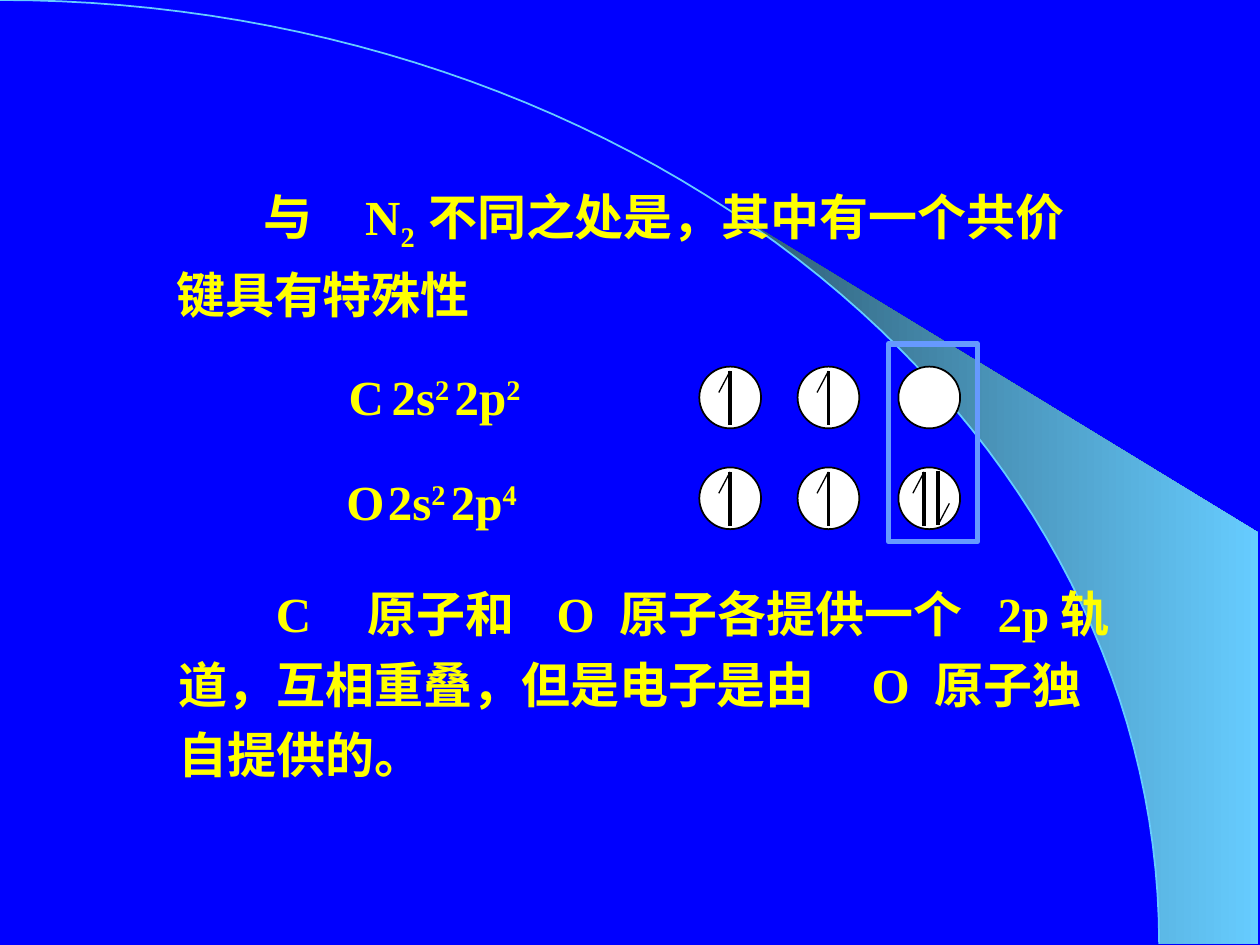
"""Build a slide on the special covalent bond formed by C and O orbitals."""
from math import asin, cos, pi, sin

from lxml import etree
from pptx import Presentation
from pptx.dml.color import RGBColor
from pptx.enum.shapes import MSO_CONNECTOR, MSO_SHAPE
from pptx.enum.text import MSO_ANCHOR, PP_ALIGN
from pptx.oxml.ns import qn
from pptx.util import Inches, Pt

LINE, OVAL, RECT = MSO_CONNECTOR.STRAIGHT, MSO_SHAPE.OVAL, MSO_SHAPE.RECTANGLE
TOP, MIDDLE = MSO_ANCHOR.TOP, MSO_ANCHOR.MIDDLE
LEFT, JUSTIFY = PP_ALIGN.LEFT, PP_ALIGN.JUSTIFY

COLORS = {"background": "0000FF", "text": "FFFF00", "sky": "66CCFF", "shade": "2F5E76",
          "frame": "6699FF", "orbital": "FFFFFF", "ink": "000000"}
FONT = {"name": "Times New Roman", "size": Pt(28), "bold": True}
SUB, NORMAL, SUPER = -25000, 0, 30000

BODY = {"anchor": MIDDLE, "inset": 0.05, "align": JUSTIFY, "spacing": 1.2}
LABEL = {"anchor": TOP, "inset": 0.15, "align": LEFT, "spacing": 1.0}

# paragraphs: (first-line indent, tab stops, runs)
TEXTS = [
    ((1.3, 1.32, 7.88, 1.3), BODY, [
        (0.69, [1.36, 1.95], [("与\tN", NORMAL), ("2", SUB),
                              ("\t不同之处是，其中有一个共价", NORMAL)]),
        (0, [], [("键具有特殊性", NORMAL)]),
    ]),
    ((2.01, 2.76, 3.54, 1.17), LABEL, [
        (0.66, [1.23, 1.86], [("C\t2s", NORMAL), ("2", SUPER), ("\t2p", NORMAL), ("2", SUPER)]),
    ]),
    ((2.48, 3.59, 3.3, 0.64), LABEL, [
        (0.17, [0.72, 1.35], [("O\t2s", NORMAL), ("2", SUPER), ("\t2p", NORMAL), ("4", SUPER)]),
    ]),
    ((1.32, 4.49, 8.01, 1.78), BODY, [
        (0.77, [1.33, 2.74, 3.31, 6.31, 7.0],
         [("C\t原子和\tO\t原子各提供一个\t2p\t轨", NORMAL)]),
        (0, [5.36, 5.92], [("道，互相重叠，但是电子是由\tO\t原子独", NORMAL)]),
        (0, [], [("自提供的。", NORMAL)]),
    ]),
]

ORBITAL_SIZE = 0.49
ORBITAL_LEFTS = [5.55, 6.33, 7.13]
ORBITAL_ROWS = [(2.91, ["up", "up", ""]), (3.71, ["up", "up", "pair"])]
SPINS = {"": [], "up": [(0, 1)], "pair": [(-0.04, 1), (0.07, -1)]}
SHARED_FRAME = (7.05, 2.73, 0.71, 1.57)
ARC_WIDTH, ARC_HEIGHT = 9.2, 7.49
BAND_TIP = (5.89, 1.73)
BAND_OUTER = [(9.99, 4.23), (9.99, 7.49)]


def color(name):
    return RGBColor.from_string(COLORS[name])


def paint_line(part, name, width):
    part.line.color.rgb = color(name)
    part.line.width = Pt(width)


def arc_points(start, steps=60):
    angles = [start + (pi / 2 - start) * step / steps for step in range(steps + 1)]
    return [(ARC_WIDTH * sin(angle), ARC_HEIGHT * (1 - cos(angle))) for angle in angles]


def add_outline(slide, points, close):
    start, *rest = [(Inches(x), Inches(y)) for x, y in points]
    builder = slide.shapes.build_freeform(*start)
    builder.add_line_segments(rest, close=close)
    outline = builder.convert_to_shape()
    outline.shadow.inherit = False
    return outline


def add_backdrop(slide):
    inner_edge = arc_points(asin(BAND_TIP[0] / ARC_WIDTH))
    band = add_outline(slide, [BAND_TIP, *BAND_OUTER, *reversed(inner_edge)], True)
    band.fill.gradient()
    band.fill.gradient_angle = 0
    for stop, (position, name) in zip(band.fill.gradient_stops, [(0, "shade"), (1, "sky")]):
        stop.position = position
        stop.color.rgb = color(name)
    band.line.fill.background()
    arc = add_outline(slide, arc_points(0), False)
    arc.fill.background()
    paint_line(arc, "sky", 1)


def add_text(slide, place, style, paragraphs):
    frame = slide.shapes.add_textbox(*map(Inches, place)).text_frame
    settings = {"word_wrap": True, "vertical_anchor": style["anchor"],
                "margin_top": Inches(style["inset"])}
    for key, value in settings.items():
        setattr(frame, key, value)
    for index, (indent, tabs, runs) in enumerate(paragraphs):
        paragraph = frame.add_paragraph() if index else frame.paragraphs[0]
        properties = paragraph._p.get_or_add_pPr()
        properties.set("marL", "0")
        properties.set("indent", str(Inches(indent)))
        if tabs:
            tab_list = etree.SubElement(properties, qn("a:tabLst"))
            for tab in tabs:
                etree.SubElement(tab_list, qn("a:tab"), pos=str(Inches(tab)), algn="l")
        paragraph.alignment = style["align"]
        paragraph.line_spacing = style["spacing"]
        for text, baseline in runs:
            run = paragraph.add_run()
            run.text = text
            for key, value in FONT.items():
                setattr(run.font, key, value)
            run.font.color.rgb = color("text")
            if baseline:
                run._r.get_or_add_rPr().set("baseline", str(baseline))


def add_stroke(slide, start, end, width):
    stroke = slide.shapes.add_connector(LINE, *map(Inches, (*start, *end)))
    paint_line(stroke, "ink", width)
    etree.SubElement(stroke._element.spPr, qn("a:effectLst"))


def add_spin(slide, x, middle, direction):
    tip = (x, middle - 0.21 * direction)
    add_stroke(slide, tip, (x, middle + 0.22 * direction), 2)
    add_stroke(slide, tip, (x - 0.09 * direction, tip[1] + 0.17 * direction), 0.75)


def add_box(slide, kind, place, line_color, width):
    box = slide.shapes.add_shape(kind, *map(Inches, place))
    box.shadow.inherit = False
    box.fill.background()
    paint_line(box, line_color, width)
    return box


def add_orbitals(slide):
    for top, row in ORBITAL_ROWS:
        for left, spins in zip(ORBITAL_LEFTS, row):
            orbital = add_box(slide, OVAL, (left, top, ORBITAL_SIZE, ORBITAL_SIZE), "ink", 1)
            orbital.fill.solid()
            orbital.fill.fore_color.rgb = color("orbital")
            for offset, direction in SPINS[spins]:
                add_spin(slide, left + ORBITAL_SIZE / 2 + offset,
                         top + ORBITAL_SIZE / 2, direction)
    add_box(slide, RECT, SHARED_FRAME, "frame", 3)


def main():
    deck = Presentation()
    deck.slide_width, deck.slide_height = Inches(10), Inches(7.5)
    slide = deck.slides.add_slide(deck.slide_layouts[6])
    slide.background.fill.solid()
    slide.background.fill.fore_color.rgb = color("background")
    add_backdrop(slide)
    add_orbitals(slide)
    for place, style, paragraphs in TEXTS:
        add_text(slide, place, style, paragraphs)
    deck.save("out.pptx")


if __name__ == "__main__":
    main()
